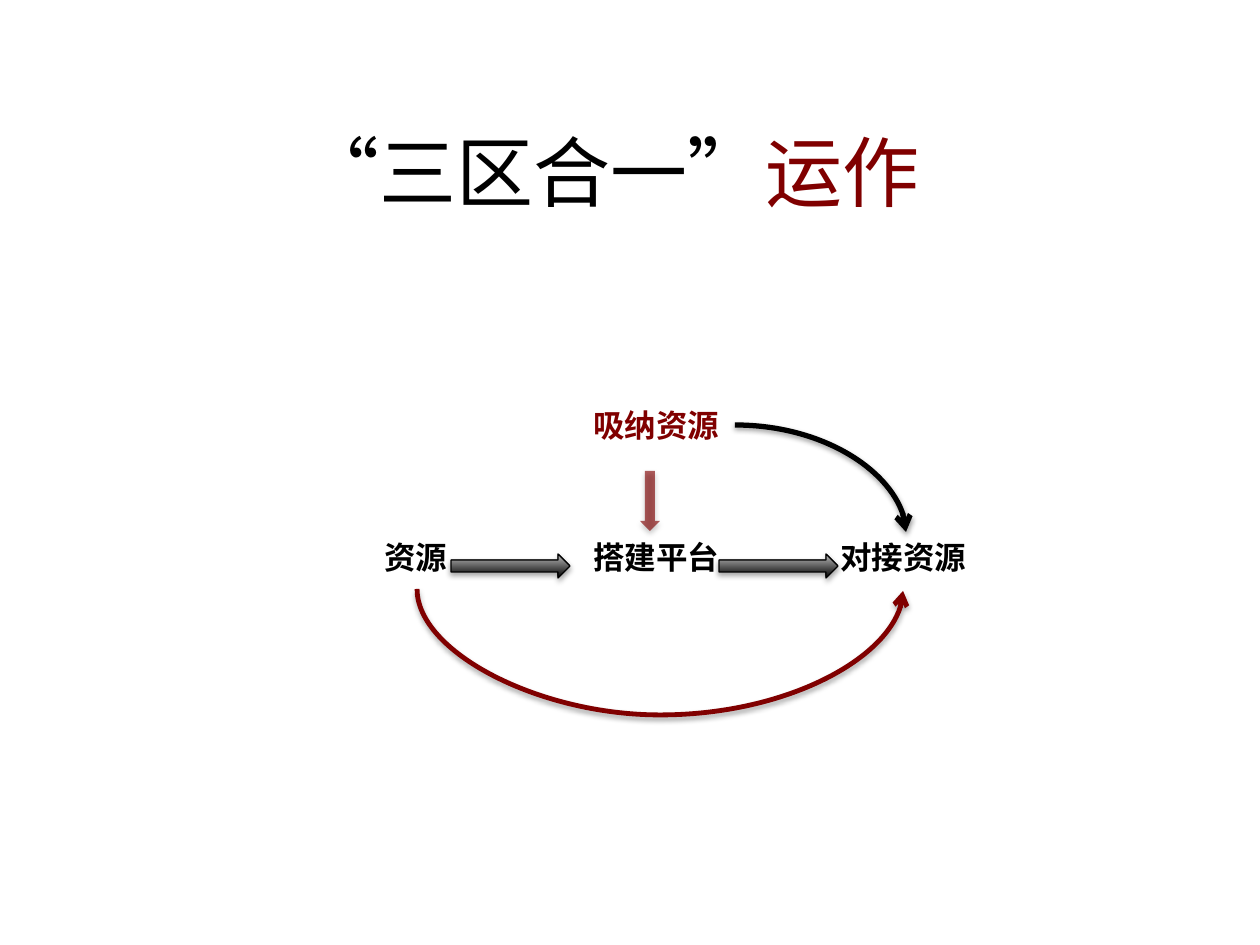
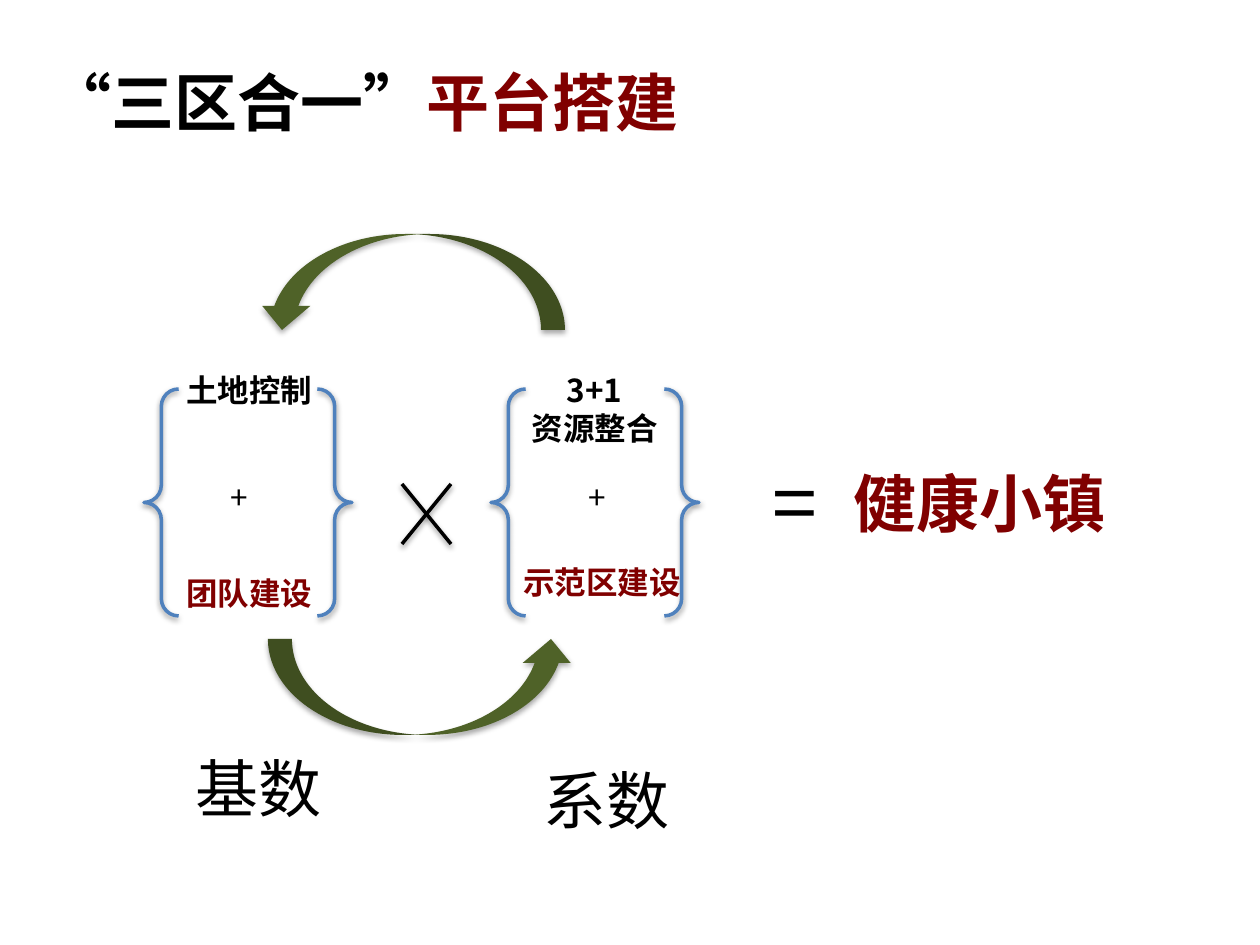
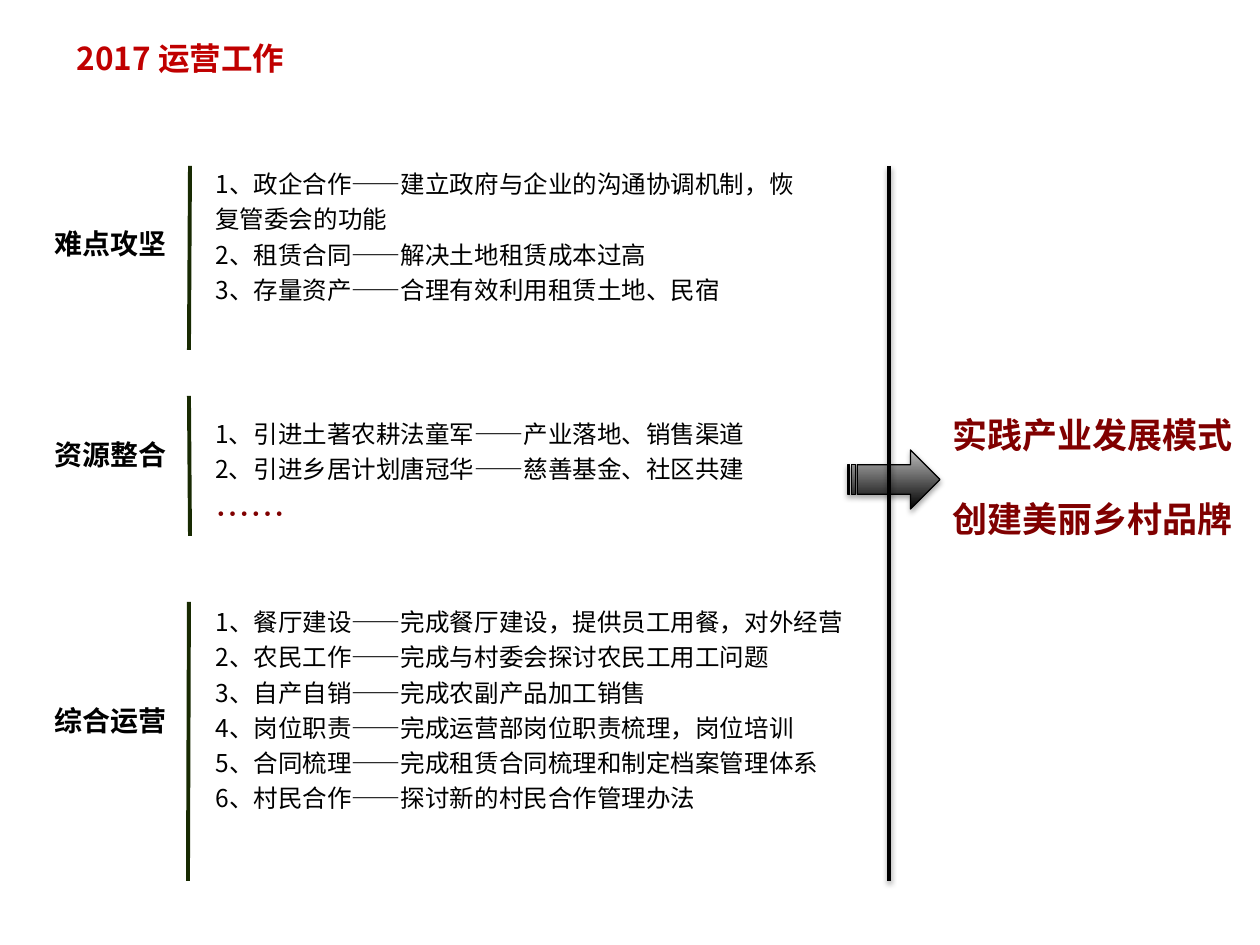
from dataclasses import dataclass

from lxml import etree
from pptx import Presentation
from pptx.dml.color import RGBColor
from pptx.enum.shapes import MSO_CONNECTOR, MSO_SHAPE
from pptx.enum.text import MSO_ANCHOR, MSO_AUTO_SIZE, PP_ALIGN
from pptx.oxml.ns import qn
from pptx.util import Emu, Pt

PIXEL = 914400 // 126
BLACK = RGBColor(0x00, 0x00, 0x00)
SILVER = RGBColor(0xBD, 0xBD, 0xBD)
MAROON = RGBColor(0x80, 0x00, 0x00)
RED = RGBColor(0xC0, 0x00, 0x00)
BLUE = RGBColor(0x4F, 0x81, 0xBD)
OLIVE = RGBColor(0x4F, 0x62, 0x28)
FOREST = RGBColor(0x18, 0x2A, 0x02)
CJK = "Noto Sans CJK SC"
LATIN = "Calibri"
LEFT, CENTER = PP_ALIGN.LEFT, PP_ALIGN.CENTER
TOP, MIDDLE = MSO_ANCHOR.TOP, MSO_ANCHOR.MIDDLE
FIT, FIXED = MSO_AUTO_SIZE.SHAPE_TO_FIT_TEXT, MSO_AUTO_SIZE.NONE
STRAIGHT, CURVE = MSO_CONNECTOR.STRAIGHT, MSO_CONNECTOR.CURVE
RIGHT_ARROW, DOWN_ARROW = MSO_SHAPE.RIGHT_ARROW, MSO_SHAPE.DOWN_ARROW
STRIPED_ARROW, BRACES = MSO_SHAPE.STRIPED_RIGHT_ARROW, MSO_SHAPE.DOUBLE_BRACE
ARC_UP, ARC_DOWN = MSO_SHAPE.CURVED_UP_ARROW, MSO_SHAPE.CURVED_DOWN_ARROW


@dataclass(frozen=True)
class Span:
    text: str
    size: int = 18
    color: RGBColor = BLACK
    bold: bool = False
    font: str = CJK


@dataclass(frozen=True)
class Box:
    left: int
    top: int
    width: int
    height: int

    def emu(self) -> list[Emu]:
        return [Emu(v * PIXEL) for v in (self.left, self.top, self.width, self.height)]


@dataclass(frozen=True)
class Shadow:
    distance: int
    alpha: int


@dataclass(frozen=True)
class Section:
    label: str
    label_top: int
    rule: tuple[int, int, int, int]
    body: Box
    items: tuple[str, ...]
    ending: str = ""


SOFT = Shadow(23000, 35000)
CRISP = Shadow(20000, 38000)


def set_effects(properties, shadow: Shadow | None) -> None:
    effects = etree.SubElement(properties, qn("a:effectLst"))
    if shadow:
        outer = etree.SubElement(effects, qn("a:outerShdw"), blurRad="40000",
                                 dist=str(shadow.distance), dir="5400000", rotWithShape="0")
        tint = etree.SubElement(outer, qn("a:srgbClr"), val=str(BLACK))
        etree.SubElement(tint, qn("a:alpha"), val=str(shadow.alpha))


def write(slide, box: Box, lines: list[list[Span]], align=LEFT, wrap: bool = False,
          spacing: float = 1.0, inset: tuple[int, int] | None = None,
          anchor=TOP, sizing=FIT) -> None:
    frame = slide.shapes.add_textbox(*box.emu()).text_frame
    frame.word_wrap = wrap
    frame.auto_size = sizing
    frame.vertical_anchor = anchor
    if inset:
        frame.margin_left = frame.margin_right = Emu(inset[0] * PIXEL)
        frame.margin_top = frame.margin_bottom = Emu(inset[1] * PIXEL)
    for index, spans in enumerate(lines):
        paragraph = frame.add_paragraph() if index else frame.paragraphs[0]
        paragraph.alignment = align
        paragraph.line_spacing = spacing
        for span in spans:
            run = paragraph.add_run()
            run.text = span.text
            run.font.size = Pt(span.size)
            run.font.bold = span.bold
            run.font.color.rgb = span.color
            run.font.name = span.font
            etree.SubElement(run.font._element, qn("a:ea"), typeface=CJK)


def draw_shape(slide, kind, box: Box, fill: RGBColor | None = None,
               outline: RGBColor | None = None, weight: float = 1,
               gradient: bool = False, alpha: int = 100, mirrored: bool = False,
               shadow: Shadow = SOFT) -> None:
    shape = slide.shapes.add_shape(kind, *box.emu())
    properties = shape._element.spPr
    if gradient:
        shape.fill.gradient()
        shape.fill.gradient_angle = 90
        for stop, color in zip(shape.fill.gradient_stops, (BLACK, SILVER)):
            stop.color.rgb = color
    elif fill is not None:
        shape.fill.solid()
        shape.fill.fore_color.rgb = fill
        if alpha < 100:
            tint = properties.find(qn("a:solidFill"))[0]
            etree.SubElement(tint, qn("a:alpha"), val=str(alpha * 1000))
    else:
        shape.fill.background()
    if outline is not None:
        shape.line.color.rgb = outline
        shape.line.width = Pt(weight)
    else:
        shape.line.fill.background()
    if mirrored:
        properties.xfrm.set("flipH", "1")
    set_effects(properties, shadow)


def draw_line(slide, ends: tuple[int, int, int, int], color: RGBColor, weight: float,
              shadow: Shadow | None = None, kind=STRAIGHT, arrow: bool = False):
    line = slide.shapes.add_connector(kind, *(Emu(v * PIXEL) for v in ends))
    line.line.color.rgb = color
    line.line.width = Pt(weight)
    properties = line._element.spPr
    if arrow:
        etree.SubElement(properties.find(qn("a:ln")), qn("a:tailEnd"), type="arrow")
    set_effects(properties, shadow)
    return properties


def build_operation(slide) -> None:
    sweep = draw_line(slide, (661, 347, 659, 833), MAROON, 2.75, SOFT, CURVE, True)
    sweep.xfrm.set("rot", "16200000")
    bend = sweep.find(qn("a:prstGeom")).find(qn("a:avLst"))
    etree.SubElement(bend, qn("a:gd"), name="adj1", fmla="val 6350000")
    for label, left, top, width, color in (
            ("搭建平台", 581, 532, 155, BLACK), ("吸纳资源", 581, 400, 155, MAROON),
            ("对接资源", 828, 532, 155, BLACK), ("资源", 372, 532, 91, BLACK)):
        write(slide, Box(left, top, width, 50), [[Span(label, color=color, bold=True)]])
    for left in (451, 719):
        draw_shape(slide, RIGHT_ARROW, Box(left, 554, 119, 24),
                   outline=BLACK, weight=0.75, gradient=True)
    draw_shape(slide, DOWN_ARROW, Box(640, 471, 20, 60), MAROON, alpha=63)
    arc = draw_line(slide, (735, 425, 906, 532), BLACK, 3, CRISP, CURVE, True)
    arc.find(qn("a:prstGeom")).set("prst", "curvedConnector2")
    write(slide, Box(44, 92, 1134, 158),
          [[Span("“三区合一”", 44, font=LATIN), Span("运作", 44, MAROON)]],
          CENTER, wrap=True, anchor=MIDDLE, sizing=FIXED)


def build_platform(slide) -> None:
    wide = (16, 8)
    write(slide, Box(756, 445, 93, 113), [[Span("=", 46)]], inset=wide)
    write(slide, Box(835, 457, 289, 93), [[Span("健康小镇", 36, MAROON, True)]],
          CENTER, inset=wide)
    for start, end in ((451, 402), (402, 451)):
        draw_line(slide, (start, 484, end, 544), BLACK, 2, CRISP)
    for left in (491, 144):
        draw_shape(slide, BRACES, Box(left, 389, 208, 227),
                   outline=BLUE, weight=2, shadow=CRISP)
    for left in (576, 218):
        write(slide, Box(left, 472, 49, 50), [[Span("+")]])
    write(slide, Box(517, 365, 155, 89),
          [[Span("3+1", bold=True)], [Span("资源整合", bold=True)]], CENTER)
    for label, left, top, width, color in (
            ("示范区建设", 511, 557, 186, MAROON), ("土地控制", 174, 365, 152, BLACK),
            ("团队建设", 174, 568, 155, MAROON)):
        write(slide, Box(left, top, width, 50), [[Span(label, color=color, bold=True)]])
    for label, left, top in (("基数", 183, 743), ("系数", 531, 755)):
        write(slide, Box(left, top, 152, 89), [[Span(label, 36)]])
    draw_shape(slide, ARC_UP, Box(268, 639, 307, 96), OLIVE)
    draw_shape(slide, ARC_DOWN, Box(258, 234, 307, 96), OLIVE, mirrored=True)
    write(slide, Box(29, 55, 670, 93),
          [[Span("“三区合一”", 36, bold=True), Span("平台搭建", 36, MAROON, True)]],
          CENTER, inset=wide)


SECTIONS = (
    Section("难点攻坚", 220, (190, 166, 189, 350), Box(203, 157, 615, 162), (
        "1、政企合作——建立政府与企业的沟通协调机制，恢复管委会的功能",
        "2、租赁合同——解决土地租赁成本过高",
        "3、存量资产——合理有效利用租赁土地、民宿")),
    Section("资源整合", 431, (189, 396, 190, 536), Box(203, 407, 595, 134), (
        "1、引进土著农耕法童军——产业落地、销售渠道",
        "2、引进乡居计划唐冠华——慈善基金、社区共建"), "……"),
    Section("综合运营", 697, (189, 602, 188, 881), Box(203, 595, 687, 226), (
        "1、餐厅建设——完成餐厅建设，提供员工用餐，对外经营",
        "2、农民工作——完成与村委会探讨农民工用工问题",
        "3、自产自销——完成农副产品加工销售",
        "4、岗位职责——完成运营部岗位职责梳理，岗位培训",
        "5、合同梳理——完成租赁合同梳理和制定档案管理体系",
        "6、村民合作——探讨新的村民合作管理办法")),
)


def build_agenda(slide) -> None:
    write(slide, Box(23, 33, 315, 50), [[Span("2017 运营工作", 18, RED, True)]],
          CENTER, wrap=True)
    for section in SECTIONS:
        write(slide, Box(31, section.label_top, 159, 47),
              [[Span(section.label, 16, bold=True)]], CENTER, wrap=True)
        draw_line(slide, section.rule, FOREST, 2.25)
        lines = [[Span(item, 14)] for item in section.items]
        if section.ending:
            lines.append([Span(section.ending, 20, MAROON)])
        write(slide, section.body, lines, wrap=True, spacing=1.2)
    draw_shape(slide, STRIPED_ARROW, Box(848, 450, 92, 59),
               outline=BLACK, weight=0.75, gradient=True)
    goals = ("实践产业发展模式", "创建美丽乡村品牌")
    write(slide, Box(925, 365, 335, 175), [[Span(goal, 20, MAROON, True)] for goal in goals],
          CENTER, wrap=True, spacing=2.0)
    draw_line(slide, (889, 166, 889, 881), BLACK, 2, CRISP)


deck = Presentation()
deck.slide_width, deck.slide_height = Emu(1260 * PIXEL), Emu(945 * PIXEL)
for build in (build_operation, build_platform, build_agenda):
    build(deck.slides.add_slide(deck.slide_layouts[6]))
deck.save("out.pptx")
